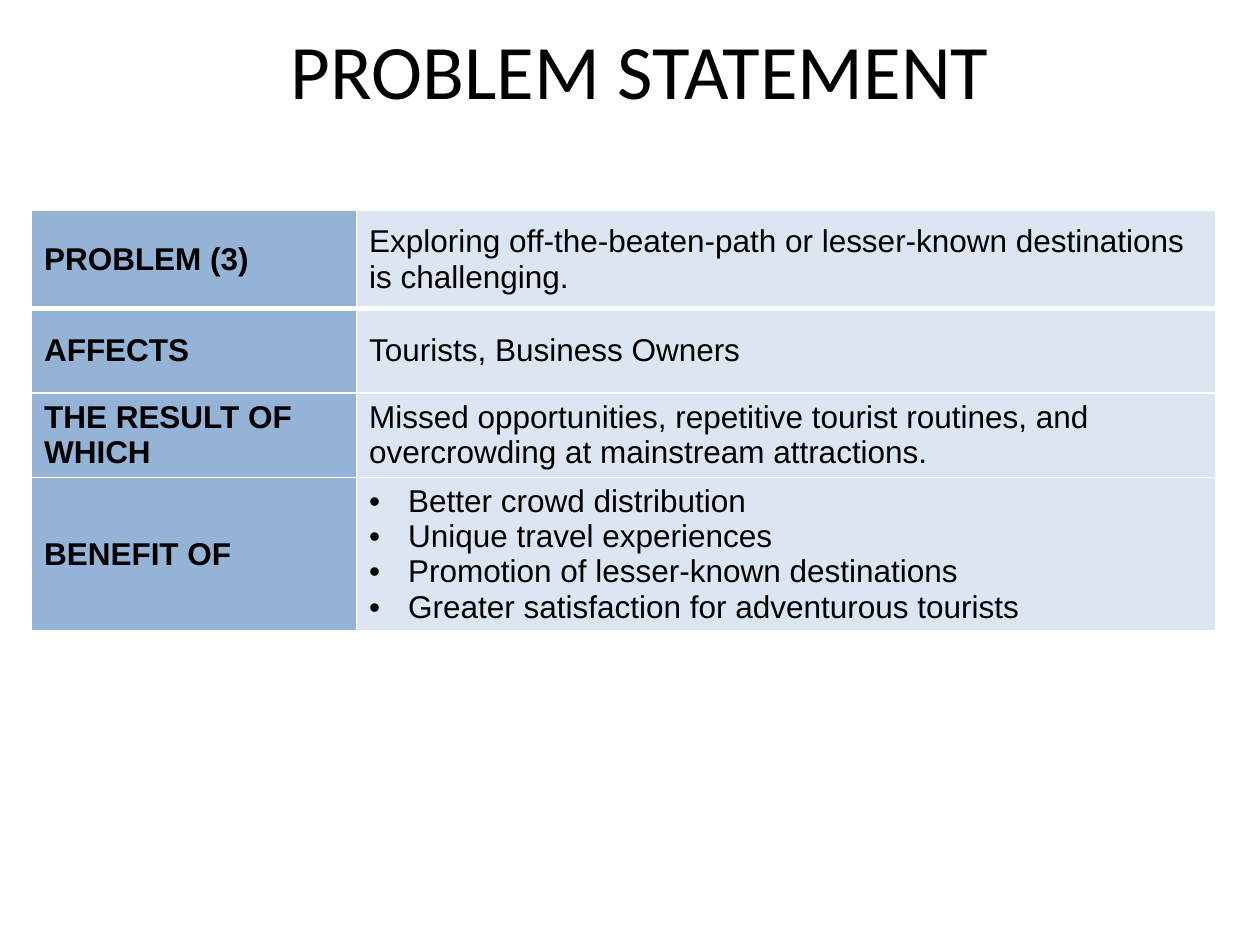
from lxml import etree
from pptx import Presentation
from pptx import util as u
from pptx.dml.color import RGBColor
from pptx.enum import text
from pptx.oxml import ns

BLACK = RGBColor(0x00, 0x00, 0x00)
WHITE = RGBColor(0xFF, 0xFF, 0xFF)
LABEL_BLUE = RGBColor(0x95, 0xB3, 0xD7)
DETAIL_BLUE = RGBColor(0xDC, 0xE6, 0xF2)

TITLE = "PROBLEM STATEMENT"
ROWS = [
    ("PROBLEM (3)", ["Exploring off-the-beaten-path or lesser-known destinations is challenging."]),
    ("AFFECTS", ["Tourists, Business Owners"]),
    ("THE RESULT OF WHICH", ["Missed opportunities, repetitive tourist routines, and "
                             "overcrowding at mainstream attractions."]),
    ("BENEFIT OF", ["Better crowd distribution",
                    "Unique travel experiences",
                    "Promotion of lesser-known destinations",
                    "Greater satisfaction for adventurous tourists"]),
]
COLUMN_WIDTHS = [2.58, 6.82]
ROW_HEIGHTS = [0.78, 0.67, 0.67, 0.67]
BULLET_INDENT = 0.31


def write(frame, lines, size=18, font="Arial", bold=False, align=None, bullets=False):
    for index, line in enumerate(lines):
        para = frame.paragraphs[0] if index == 0 else frame.add_paragraph()
        para.alignment = align
        span = para.add_run()
        span.text = line
        span.font.size = u.Pt(size)
        span.font.name = font
        span.font.bold = bold
        span.font.color.rgb = BLACK
        if bullets:
            add_bullet(para)


def add_bullet(para):
    props = para._p.get_or_add_pPr()
    indent = u.Inches(BULLET_INDENT)
    props.set("marL", str(indent))
    props.set("indent", str(-indent))
    etree.SubElement(props, ns.qn("a:buFont"), typeface="Arial")
    etree.SubElement(props, ns.qn("a:buChar"), char="•")


def set_borders(cell, **widths):
    props = cell._tc.get_or_add_tcPr()
    for index, (side, width) in enumerate(widths.items()):
        line = etree.Element(ns.qn(f"a:ln{side}"), w=str(u.Pt(width)))
        fill = etree.SubElement(line, ns.qn("a:solidFill"))
        etree.SubElement(fill, ns.qn("a:srgbClr"), val=str(WHITE))
        props.insert(index, line)


def fill_cell(cell, lines, color, top, bottom, **style):
    cell.fill.solid()
    cell.fill.fore_color.rgb = color
    cell.vertical_anchor = text.MSO_ANCHOR.MIDDLE
    set_borders(cell, L=1, R=1, T=top, B=bottom)
    write(cell.text_frame, lines, **style)


def main():
    deck = Presentation()
    deck.slide_width, deck.slide_height = u.Inches(10), u.Inches(7.5)
    page = deck.slides.add_slide(deck.slide_layouts[5])

    frame = page.shapes.add_table(
        len(ROWS), len(COLUMN_WIDTHS), u.Inches(0.25), u.Inches(1.67),
        u.Inches(sum(COLUMN_WIDTHS)), u.Inches(sum(ROW_HEIGHTS)))
    table = frame.table
    for column, width in zip(table.columns, COLUMN_WIDTHS):
        column.width = u.Inches(width)
    for row, height in zip(table.rows, ROW_HEIGHTS):
        row.height = u.Inches(height)
    for index, (label, details) in enumerate(ROWS):
        edges = {"top": 3 if index == 1 else 1, "bottom": 3 if index == 0 else 1}
        fill_cell(table.cell(index, 0), [label], LABEL_BLUE, bold=True, **edges)
        fill_cell(table.cell(index, 1), details, DETAIL_BLUE,
                  bullets=len(details) > 1, **edges)

    title = page.shapes.title
    title.left, title.top = u.Inches(0.58), u.Inches(-0.08)
    title.width, title.height = u.Inches(9), u.Inches(1.25)
    title.text_frame.vertical_anchor = text.MSO_ANCHOR.MIDDLE
    write(title.text_frame, [TITLE], size=44, font="Calibri", align=text.PP_ALIGN.CENTER)

    deck.save("out.pptx")


if __name__ == "__main__":
    main()
